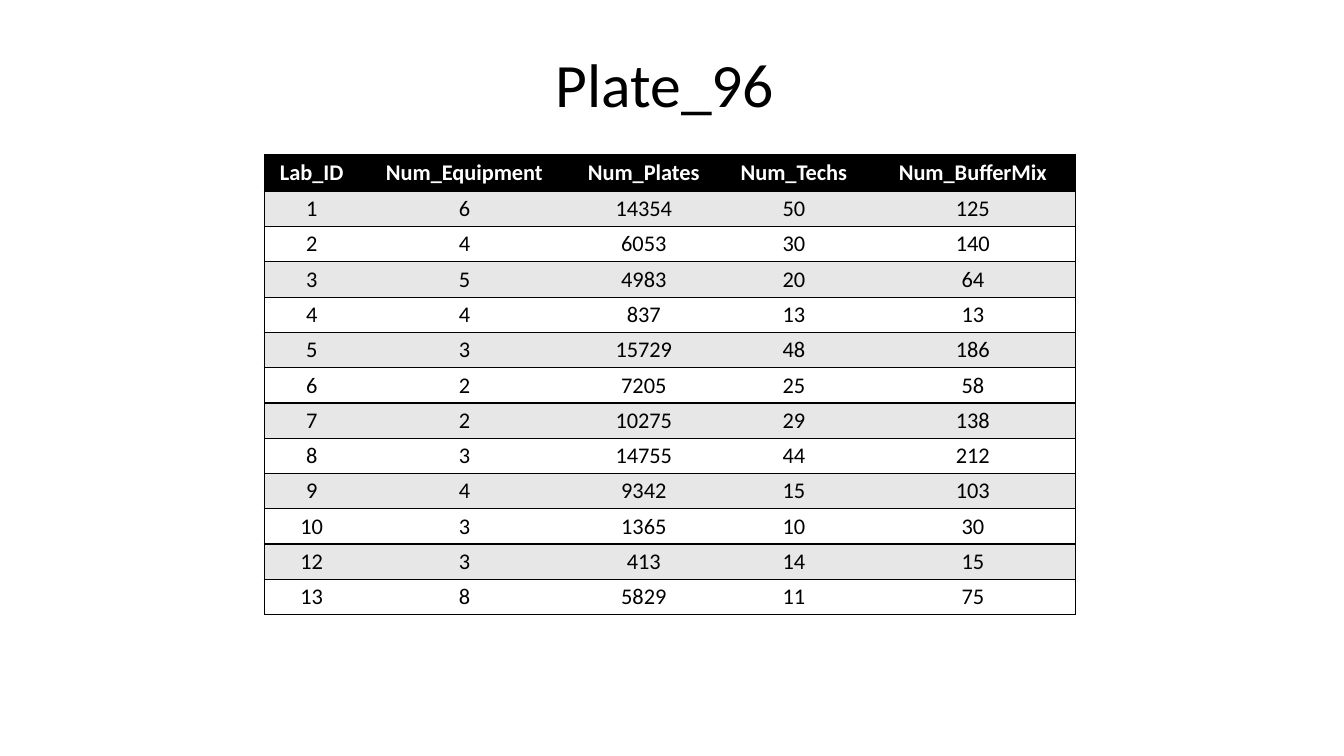
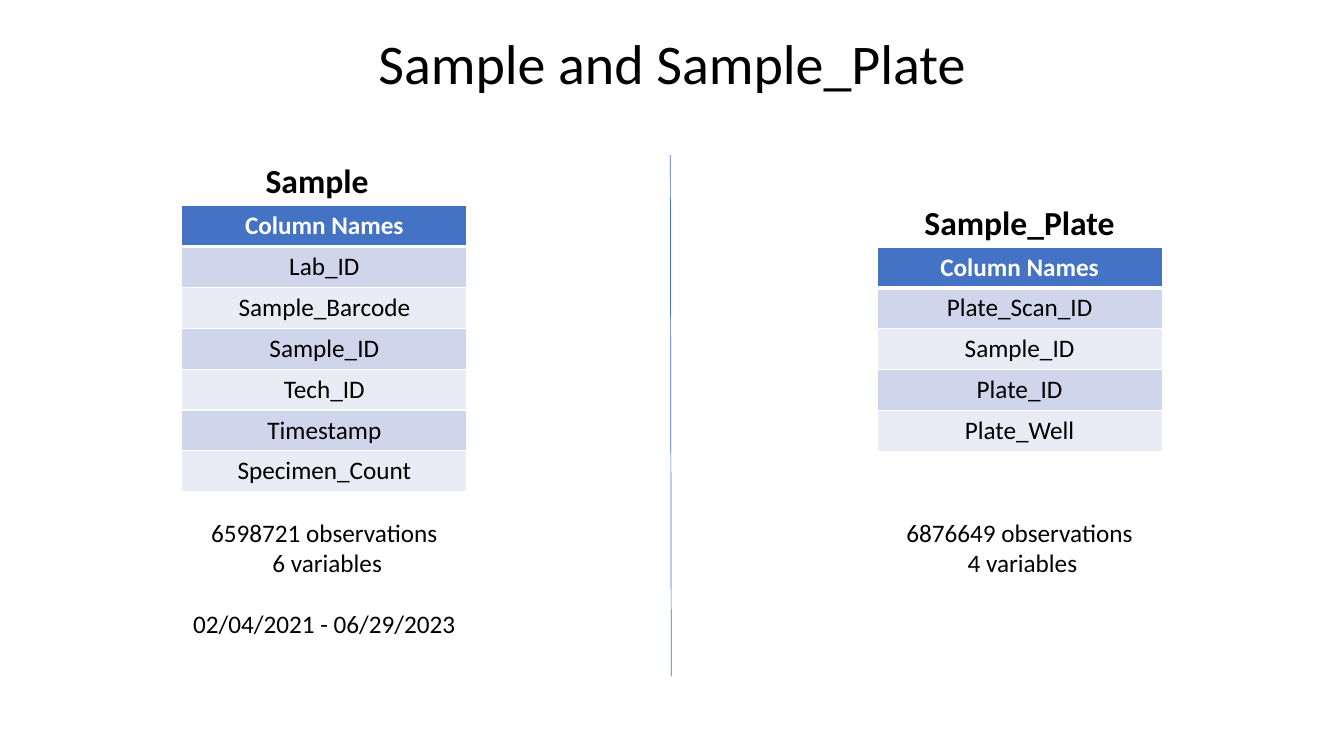
from dataclasses import dataclass

from lxml.etree import SubElement
from pptx import Presentation
from pptx.dml.color import RGBColor
from pptx.enum.shapes import MSO_CONNECTOR
from pptx.enum.text import MSO_ANCHOR, MSO_AUTO_SIZE, PP_ALIGN
from pptx.oxml.ns import qn
from pptx.slide import Slide
from pptx.table import _Cell as Cell
from pptx.text.text import _Paragraph as Paragraph
from pptx.util import Pt

FONT = "Calibri"
COLORS = {
    "black": "000000",
    "white": "FFFFFF",
    "gray": "E7E7E7",
    "blue": "4472C4",
    "blue_mid": "CFD5EA",
    "blue_pale": "E9EBF5",
}
SLIDE_W, SLIDE_H = 960, 540
ROW_H = 29.2
PANEL_W = 203.8
COUNTS_TOP = 365.8
CAPTION_H = 36


@dataclass(frozen=True)
class TableStyle:
    header: str
    bands: tuple[str, str]
    border: str
    header_rule: float
    inner_verticals: bool
    size: float
    anchor: MSO_ANCHOR
    body_margins: tuple[float, float]


@dataclass(frozen=True)
class Panel:
    name: str
    left: float
    name_left: float
    top: float
    columns: tuple[str, ...]
    counts: tuple[str, ...]
    counts_h: float
    dates: str = ""


LAB_STYLE = TableStyle("black", ("gray", "white"), "black", 1, False, 16,
                       MSO_ANCHOR.MIDDLE, (3.6, 2.9))
COLUMN_STYLE = TableStyle("blue", ("blue_mid", "blue_pale"), "white", 3, True, 18,
                          MSO_ANCHOR.TOP, (7.2, 3.6))

LAB_COL_WIDTHS = (67.7, 150.5, 105.8, 108.7, 146.9)
LAB_ROWS = (
    ("Lab_ID", "Num_Equipment", "Num_Plates", "Num_Techs", "Num_BufferMix"),
    ("1", "6", "14354", "50", "125"),
    ("2", "4", "6053", "30", "140"),
    ("3", "5", "4983", "20", "64"),
    ("4", "4", "837", "13", "13"),
    ("5", "3", "15729", "48", "186"),
    ("6", "2", "7205", "25", "58"),
    ("7", "2", "10275", "29", "138"),
    ("8", "3", "14755", "44", "212"),
    ("9", "4", "9342", "15", "103"),
    ("10", "3", "1365", "10", "30"),
    ("12", "3", "413", "14", "15"),
    ("13", "8", "5829", "11", "75"),
)

PANELS = (
    Panel("Sample ", 129.8, 127.3, 146.9,
          ("Lab_ID", "Sample_Barcode", "Sample_ID", "Tech_ID", "Timestamp",
           "Specimen_Count"),
          ("6598721 observations", " 6 variables"), 94.5,
          "02/04/2021 - 06/29/2023"),
    Panel("Sample_Plate", 626.4, 626.4, 176.4,
          ("Plate_Scan_ID", "Sample_ID", "Plate_ID", "Plate_Well"),
          ("6876649 observations", " 4 variables"), 50.9),
)


def rgb(name: str) -> RGBColor:
    return RGBColor.from_string(COLORS[name])


def format_paragraph(p: Paragraph, size: float, color: str = "black",
                     bold: bool = False) -> None:
    p.alignment = PP_ALIGN.CENTER
    for r in p.runs:
        r.font.name = FONT
        r.font.size = Pt(size)
        r.font.bold = bold
        r.font.color.rgb = rgb(color)


def add_text(s: Slide, left: float, top: float, width: float, height: float,
             lines: tuple[str, ...], size: float, bold: bool = False,
             anchor: MSO_ANCHOR = MSO_ANCHOR.TOP) -> list[Paragraph]:
    tf = s.shapes.add_textbox(Pt(left), Pt(top), Pt(width), Pt(height)).text_frame
    tf.word_wrap = True
    tf.auto_size = MSO_AUTO_SIZE.SHAPE_TO_FIT_TEXT
    tf.vertical_anchor = anchor
    tf.text = "\n".join(lines)
    for p in tf.paragraphs:
        format_paragraph(p, size, bold=bold)
    return list(tf.paragraphs)


def add_title(s: Slide, text: str, top: float, height: float, size: float) -> None:
    add_text(s, 0, top, SLIDE_W, height, (text,), size)


def set_border(cell: Cell, side: str, width: float, color: str) -> None:
    """Rule one side (L, R, T or B); a zero width leaves it bare."""
    ln = SubElement(cell._tc.get_or_add_tcPr(), qn(f"a:ln{side}"), w=str(Pt(width)))
    if width:
        fill = SubElement(ln, qn("a:solidFill"))
        SubElement(fill, qn("a:srgbClr"), val=COLORS[color])
    else:
        SubElement(ln, qn("a:noFill"))


def add_styled_table(s: Slide, left: float, top: float, widths: tuple[float, ...],
                     heights: list[float], rows: tuple[tuple[str, ...], ...],
                     style: TableStyle) -> None:
    table = s.shapes.add_table(len(rows), len(widths), Pt(left), Pt(top),
                               Pt(sum(widths)), Pt(sum(heights))).table
    for column, width in zip(table.columns, widths):
        column.width = Pt(width)
    last = len(widths) - 1
    inner = 1 if style.inner_verticals else 0
    for i, (row, height, values) in enumerate(zip(table.rows, heights, rows)):
        row.height = Pt(height)
        for j, (cell, value) in enumerate(zip(row.cells, values)):
            rules = {
                "L": 1 if j == 0 else inner,
                "R": 1 if j == last else inner,
                "T": style.header_rule if i == 1 else 1,
                "B": style.header_rule if i == 0 else 1,
            }
            for side, width in rules.items():
                set_border(cell, side, width, style.border)
            cell.fill.solid()
            cell.fill.fore_color.rgb = rgb(style.bands[(i - 1) % 2] if i else style.header)
            cell.vertical_anchor = style.anchor
            if i:
                side_margin, end_margin = style.body_margins
                cell.margin_left = cell.margin_right = Pt(side_margin)
                cell.margin_top = cell.margin_bottom = Pt(end_margin)
            cell.text_frame.text = value
            format_paragraph(cell.text_frame.paragraphs[0], style.size,
                             "black" if i else "white", bold=i == 0)


def add_divider(s: Slide) -> None:
    line = s.shapes.add_connector(MSO_CONNECTOR.STRAIGHT, Pt(478.8), Pt(110.9),
                                  Pt(479.5), Pt(483.1))
    line.line.color.rgb = rgb("blue")
    line.line.width = Pt(0.5)
    SubElement(line._element.spPr, qn("a:effectLst"))


def add_panel(s: Slide, panel: Panel) -> None:
    """Draw a named list of columns with its counts below."""
    rows = tuple((text,) for text in ("Column Names", *panel.columns))
    add_styled_table(s, panel.left, panel.top, (PANEL_W,), [ROW_H] * len(rows),
                     rows, COLUMN_STYLE)
    add_text(s, panel.name_left, panel.top - CAPTION_H, PANEL_W, CAPTION_H,
             (panel.name,), 24, bold=True, anchor=MSO_ANCHOR.MIDDLE)
    lines = panel.counts + ((panel.dates,) if panel.dates else ())
    paragraphs = add_text(s, panel.left, COUNTS_TOP, PANEL_W, panel.counts_h, lines, 18)
    if panel.dates:
        paragraphs[-1].space_before = Pt(22)


def main() -> None:
    prs = Presentation()
    prs.slide_width, prs.slide_height = Pt(SLIDE_W), Pt(SLIDE_H)
    blank = prs.slide_layouts[6]

    s = prs.slides.add_slide(blank)
    add_title(s, "Plate_96 ", 29.5, 60.5, 44)
    heights = [26.4] + [25.2] * (len(LAB_ROWS) - 1)
    add_styled_table(s, 188.8, 110.2, LAB_COL_WIDTHS, heights, LAB_ROWS, LAB_STYLE)

    s = prs.slides.add_slide(blank)
    add_title(s, "Sample and Sample_Plate", 16.6, 55.4, 40)
    for panel in PANELS:
        add_panel(s, panel)
    add_divider(s)

    prs.save("out.pptx")


if __name__ == "__main__":
    main()
